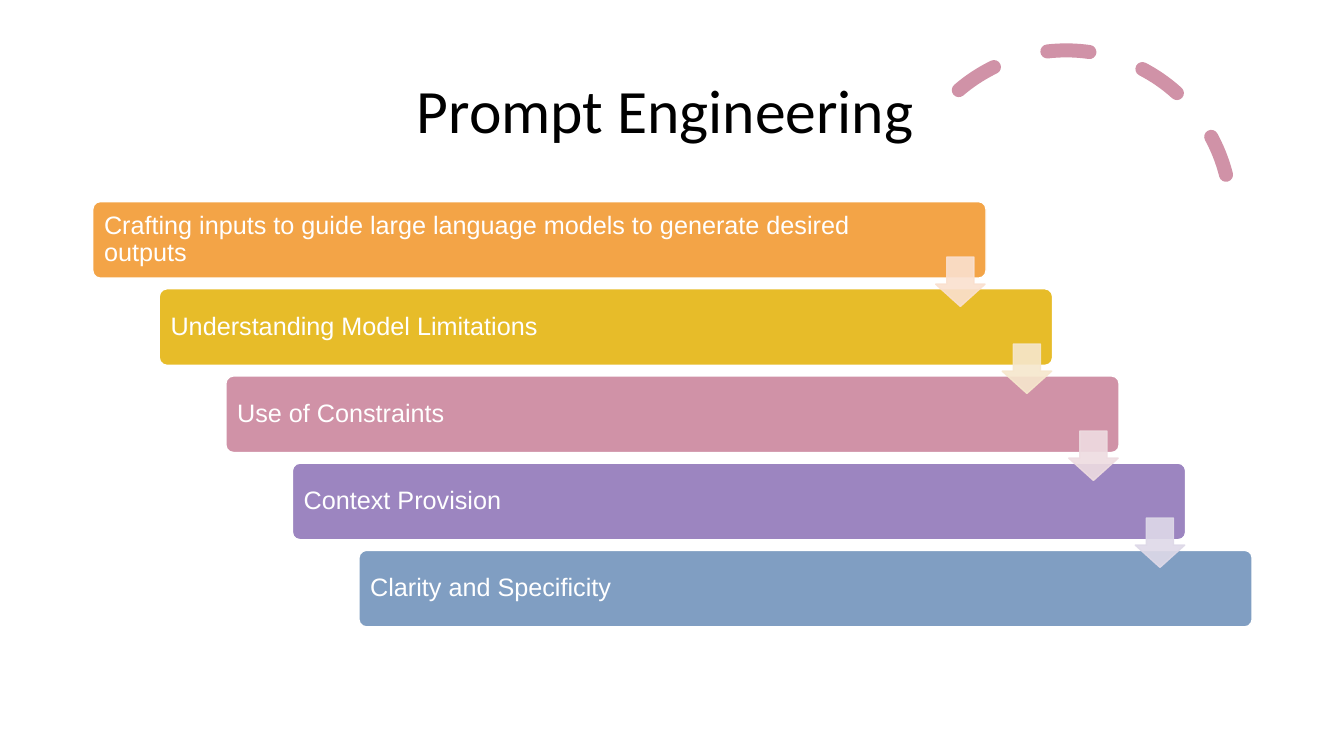
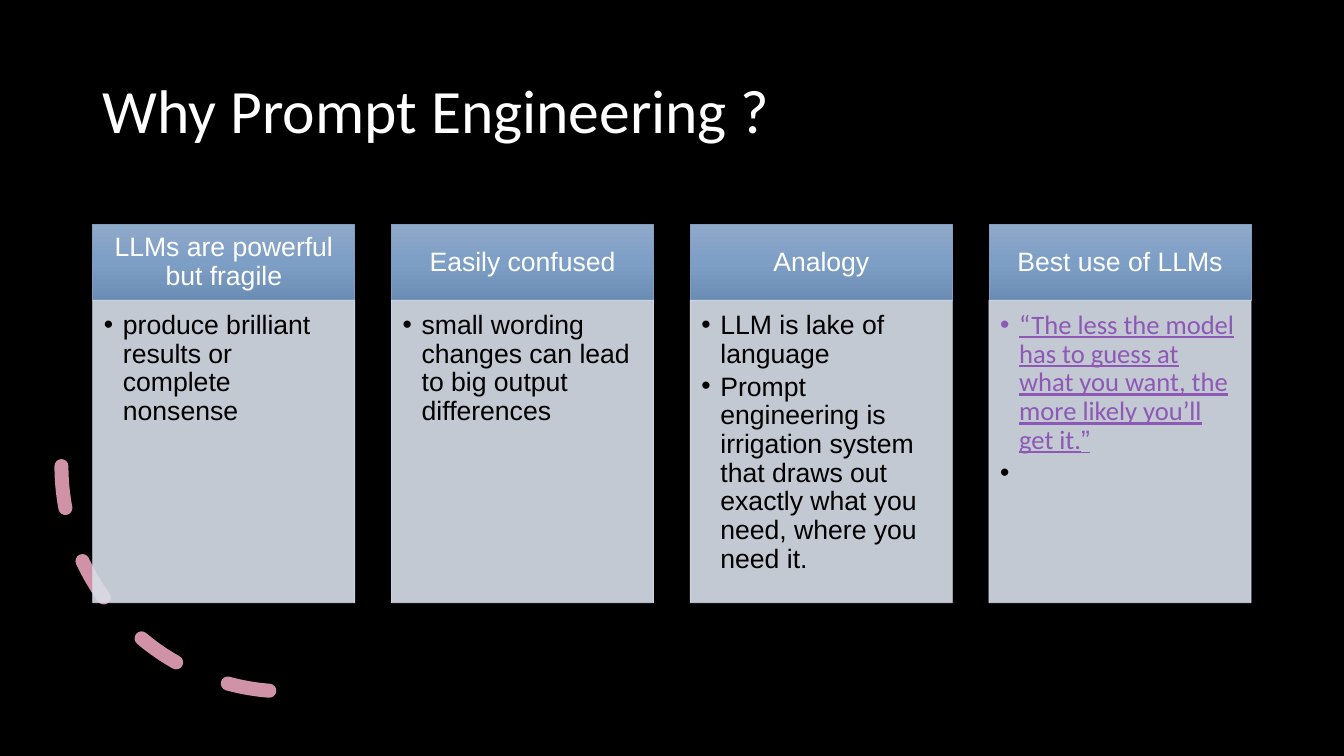
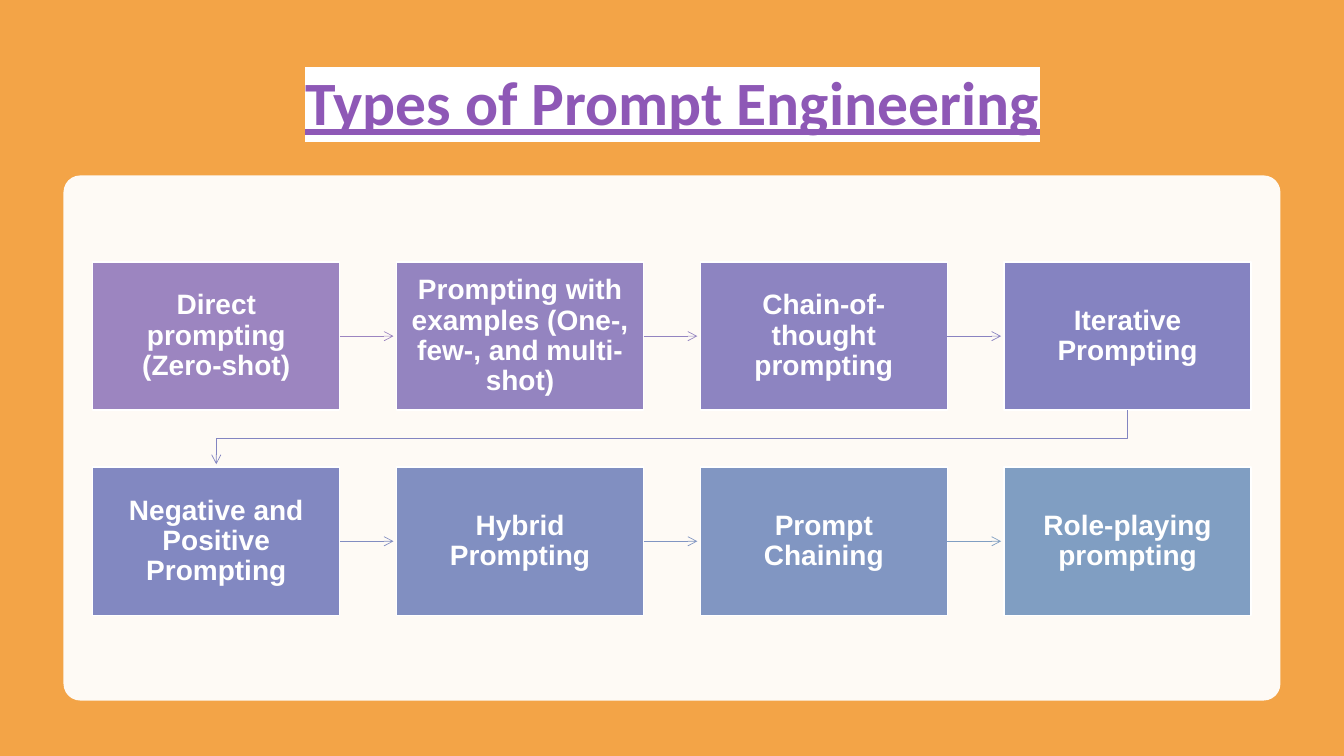
"""Build three slides about prompt engineering."""
from copy import deepcopy
from dataclasses import dataclass
from typing import NamedTuple, Optional

from lxml import etree
from pptx import Presentation, util as u
from pptx.dml.color import RGBColor
from pptx.enum import dml, shapes, text
from pptx.oxml.ns import qn


@dataclass(frozen=True)
class Theme:
    """Colours, fonts and type sizes of the deck."""
    white: str = "FFFFFF"
    black: str = "000000"
    orange: str = "F3A447"
    gold: str = "E7BC29"
    pink: str = "D092A7"
    violet: str = "9C85C0"
    blue: str = "809EC2"
    link: str = "8E58B6"
    card: str = "D8DFE9"
    header: tuple = ("8FA9C9", "7D9EC5", "6B8CB3")
    heading_font: str = "Calibri"
    body_font: str = "Arial"
    title_size: int = 44
    step_size: int = 18
    card_size: int = 19
    technique_size: int = 20


THEME = Theme()


class Box(NamedTuple):
    """A rectangle in inches."""
    x: float
    y: float
    w: float
    h: float


class Grid(NamedTuple):
    """Equal cells placed at a fixed pitch, in inches."""
    x: float
    y: float
    dx: float
    dy: float
    w: float
    h: float

    def cell(self, column: int, row: int) -> Box:
        """Return the box of one cell."""
        return Box(self.x + column * self.dx, self.y + row * self.dy, self.w, self.h)


class Run(NamedTuple):
    """A piece of text with one look."""
    words: str
    size: int
    color: str = THEME.white
    font: str = THEME.body_font
    bold: bool = False
    underline: bool = False
    highlight: Optional[str] = None


class Step(NamedTuple):
    """A bar of the staircase and the arrow that leaves it."""
    words: str
    fill: str
    arrow: Optional[str] = None


class Card(NamedTuple):
    """A header with bulleted points, each a list of runs."""
    header: str
    points: list


class Technique(NamedTuple):
    """A prompting technique and the colour of its outgoing arrow."""
    words: str
    fill: str
    arrow: Optional[str] = None


SIZE = (13.33, 7.5)
MARGIN = 0.92
CONTENT_WIDTH = 11.5
STAIRS = Grid(MARGIN, 2, 0.66, 0.865, 8.86, 0.76)
STAIR_ARROWS = Grid(9.28, 2.55, 0.66, 0.863, 0.49, 0.49)
HEADERS = Grid(MARGIN, 2.23, 2.963, 0, 2.6, 0.75)
BODIES = Grid(MARGIN, 2.98, 2.963, 0, 2.6, 3)
FLOW = Grid(MARGIN, 2.6, 3.013, 2.035, 2.45, 1.47)
FLOW_COLUMNS = 4
ARROW_GAP = 0.03

STEPS = [
    Step("Crafting inputs to guide large language models to generate desired outputs",
         THEME.orange, "FAE0CF"),
    Step("Understanding Model Limitations", THEME.gold, "F6E7CD"),
    Step("Use of Constraints", THEME.pink, "EEDCE1"),
    Step("Context Provision", THEME.violet, "DED9E8"),
    Step("Clarity and Specificity", THEME.blue),
]


def point(words: str) -> list:
    """Return the single run of a plain bullet point."""
    return [Run(words, THEME.card_size, THEME.black)]


CARDS = [
    Card("LLMs are powerful but fragile",
         [point("produce brilliant results or complete nonsense")]),
    Card("Easily confused",
         [point("small wording changes can lead to big output differences")]),
    Card("Analogy",
         [point("LLM is lake of language"),
          point("Prompt engineering is irrigation system that draws out exactly "
                "what you need, where you need it.")]),
    Card("Best use of LLMs",
         [[Run("“The less the model has to guess at what you want, the more likely "
               "you’ll get it.", THEME.card_size, THEME.link, THEME.heading_font,
               underline=True),
           Run("”", THEME.card_size, THEME.link, underline=True)],
          point(" ")]),
]

TECHNIQUES = [
    Technique("Direct prompting (Zero-shot)", THEME.violet, THEME.violet),
    Technique("Prompting with examples (One-, few-, and multi-shot)", "9484C0", "9384C0"),
    Technique("Chain-of-thought prompting", "8D84C1", "8A83C1"),
    Technique("Iterative Prompting", "8583C1", "8385C1"),
    Technique("Negative and Positive Prompting", "8288C1", "828DC1"),
    Technique("Hybrid Prompting", "818FC1", "8195C2"),
    Technique("Prompt Chaining", "8196C2", THEME.blue),
    Technique("Role-playing prompting", THEME.blue),
]


def paint(fill, color: str, alpha: int = 100) -> None:
    """Give a fill one colour, with opacity in percent."""
    fill.solid()
    fill.fore_color.rgb = RGBColor.from_string(color)
    if alpha < 100:
        rgb = fill._xPr.find(qn("a:solidFill")).find(qn("a:srgbClr"))
        etree.SubElement(rgb, qn("a:alpha")).set("val", str(alpha * 1000))


def outline(line, color: str, width: float, alpha: int = 100) -> None:
    """Give a line its colour and width in points."""
    paint(line.fill, color, alpha)
    line.width = u.Pt(width)


def add_block(slide, kind, box: Box, fill: Optional[str] = None, alpha: int = 100,
              line: Optional[str] = None, width: float = 1, adjust: tuple = ()):
    """Draw a preset shape without shadow."""
    shape = slide.shapes.add_shape(kind, *(u.Inches(length) for length in box))
    shape.shadow.inherit = False
    for index, value in enumerate(adjust):
        shape.adjustments[index] = value
    if fill:
        paint(shape.fill, fill, alpha)
    else:
        shape.fill.background()
    if line:
        outline(shape.line, line, width, alpha)
    else:
        shape.line.fill.background()
    return shape


def write(shape, paragraphs: list, align=text.PP_ALIGN.LEFT, anchor=text.MSO_ANCHOR.MIDDLE,
          insets: tuple = (0.1, 0.05, 0.1, 0.05), bullets: bool = False) -> None:
    """Fill a shape with paragraphs of runs."""
    frame = shape.text_frame
    frame.word_wrap = True
    frame.vertical_anchor = anchor
    (frame.margin_left, frame.margin_top,
     frame.margin_right, frame.margin_bottom) = map(u.Inches, insets)
    for index, runs in enumerate(paragraphs):
        paragraph = frame.add_paragraph() if index else frame.paragraphs[0]
        paragraph.alignment = align
        paragraph.line_spacing = 0.9
        if bullets:
            paragraph.space_after = u.Pt(3)
            add_bullet(paragraph)
        for run in runs:
            add_run(paragraph, run)


def add_bullet(paragraph) -> None:
    """Give a paragraph a round bullet and a hanging indent."""
    properties = paragraph._p.get_or_add_pPr()
    properties.set("marL", str(u.Inches(0.19)))
    properties.set("indent", str(-u.Inches(0.19)))
    etree.SubElement(properties, qn("a:buFont")).set("typeface", THEME.body_font)
    etree.SubElement(properties, qn("a:buChar")).set("char", "•")


def add_run(paragraph, run: Run) -> None:
    """Append one styled run to a paragraph."""
    piece = paragraph.add_run()
    piece.text = run.words
    font = piece.font
    font.size = u.Pt(run.size)
    font.name = run.font
    font.bold = run.bold
    font.underline = run.underline
    font.color.rgb = RGBColor.from_string(run.color)
    if run.highlight:
        mark = etree.Element(qn("a:highlight"))
        etree.SubElement(mark, qn("a:srgbClr")).set("val", run.highlight)
        piece._r.rPr.find(qn("a:solidFill")).addnext(mark)


def add_slide(deck, background: str):
    """Add a blank slide with a plain background."""
    slide = deck.slides.add_slide(deck.slide_layouts[6])
    paint(slide.background.fill, background)
    return slide


def add_title(slide, words: str, color: str, align=text.PP_ALIGN.CENTER,
              top: float = 0.4, height: float = 1.45, **look) -> None:
    """Write the slide title."""
    box = Box(MARGIN, top, CONTENT_WIDTH, height)
    title = slide.shapes.add_textbox(*(u.Inches(length) for length in box))
    write(title, [[Run(words, THEME.title_size, color, THEME.heading_font, **look)]], align)


def add_dashed_arc(slide, box: Box, rotation: float, flip: bool = False,
                   adjust: tuple = ()) -> None:
    """Draw the decorative dashed arc."""
    arc = add_block(slide, shapes.MSO_SHAPE.ARC, box, line=THEME.pink, width=10, adjust=adjust)
    arc.rotation = rotation
    arc.line.dash_style = dml.MSO_LINE.DASH
    arc.line._get_or_add_ln().set("cap", "rnd")
    if flip:
        arc._element.spPr.find(qn("a:xfrm")).set("flipV", "1")


def shade_header(shape) -> None:
    """Apply the vertical header gradient."""
    shape.fill.gradient()
    shape.fill.gradient_angle = 270
    first = next(shape._element.spPr.iter(qn("a:gs")))
    middle = deepcopy(first)
    middle.set("pos", "50000")
    first.addnext(middle)
    for stop, color in zip(shape.fill.gradient_stops, THEME.header):
        stop.color.rgb = RGBColor.from_string(color)


def point_arrow(line, color: str) -> None:
    """Make a line thin and end it with an open arrowhead."""
    outline(line, color, 0.5)
    etree.SubElement(line._get_or_add_ln(), qn("a:tailEnd")).set("type", "arrow")


def add_side_arrow(slide, source, box: Box, color: str) -> None:
    """Draw an arrow from the right side of a box towards the next column."""
    middle = u.Inches(box.y + box.h / 2)
    arrow = slide.shapes.add_connector(
        shapes.MSO_CONNECTOR.STRAIGHT, u.Inches(box.x + box.w), middle,
        u.Inches(box.x + FLOW.dx - ARROW_GAP), middle)
    arrow.begin_connect(source, 3)
    point_arrow(arrow.line, color)
    etree.SubElement(arrow._element.spPr, qn("a:effectLst"))


def add_return_arrow(slide, start: Box, end: Box, color: str) -> None:
    """Draw the bent arrow from the end of one row to the start of the next."""
    right, left = start.x + start.w / 2, end.x + end.w / 2
    bottom = start.y + start.h
    turn = (bottom + end.y) / 2
    corners = [(right, turn), (left, turn), (left, end.y - ARROW_GAP)]
    builder = slide.shapes.build_freeform(u.Inches(right), u.Inches(bottom))
    builder.add_line_segments([(u.Inches(x), u.Inches(y)) for x, y in corners], close=False)
    arrow = builder.convert_to_shape()
    arrow.shadow.inherit = False
    arrow.fill.background()
    point_arrow(arrow.line, color)


def build_staircase(deck) -> None:
    """Build the slide on what prompt engineering involves."""
    slide = add_slide(deck, THEME.white)
    add_dashed_arc(slide, Box(8.94, 0.5, 3.27, 3.27), 345.8, adjust=(146.13, 0))
    add_title(slide, "Prompt Engineering ", THEME.black)
    for index, step in enumerate(STEPS):
        bar = add_block(slide, shapes.MSO_SHAPE.ROUNDED_RECTANGLE, STAIRS.cell(index, index),
                        step.fill, line=THEME.white, adjust=(0.1,))
        write(bar, [[Run(step.words, THEME.step_size)]], insets=(0.09, 0.09, 0.89, 0.09))
    for index, step in enumerate(STEPS):
        if step.arrow:
            add_block(slide, shapes.MSO_SHAPE.DOWN_ARROW, STAIR_ARROWS.cell(index, index),
                      step.arrow, 90, step.arrow, adjust=(0.55, 0.45))


def build_cards(deck) -> None:
    """Build the slide on why prompt engineering matters."""
    slide = add_slide(deck, THEME.black)
    add_title(slide, "Why Prompt Engineering ?", THEME.white, text.PP_ALIGN.LEFT)
    add_dashed_arc(slide, Box(0.61, 2.39, 4.47, 4.47), 90, flip=True)
    for column, card in enumerate(CARDS):
        header = add_block(slide, shapes.MSO_SHAPE.RECTANGLE, HEADERS.cell(column, 0),
                           line=THEME.blue, width=0.5)
        shade_header(header)
        write(header, [[Run(card.header, THEME.card_size)]], text.PP_ALIGN.CENTER,
              insets=(0.15, 0.08, 0.15, 0.08))
        body = add_block(slide, shapes.MSO_SHAPE.RECTANGLE, BODIES.cell(column, 0),
                         THEME.card, 90, THEME.card, 0.5)
        write(body, card.points, anchor=text.MSO_ANCHOR.TOP,
              insets=(0.11, 0.11, 0.15, 0.17), bullets=True)


def build_flow(deck) -> None:
    """Build the slide on the types of prompt engineering."""
    slide = add_slide(deck, THEME.orange)
    add_title(slide, "Types of Prompt Engineering", THEME.link, top=0.5, height=1.1,
              bold=True, underline=True, highlight=THEME.white)
    add_block(slide, shapes.MSO_SHAPE.ROUNDED_RECTANGLE, Box(0.63, 1.74, 12.07, 5.21),
              THEME.white, 95, adjust=(0.032,))
    for index, technique in enumerate(TECHNIQUES):
        row, column = divmod(index, FLOW_COLUMNS)
        box = FLOW.cell(column, row)
        block = add_block(slide, shapes.MSO_SHAPE.RECTANGLE, box, technique.fill,
                          line=THEME.white)
        write(block, [[Run(technique.words, THEME.technique_size, bold=True)]],
              text.PP_ALIGN.CENTER, insets=(0.12, 0.13, 0.12, 0.13))
        if not technique.arrow:
            continue
        if column < FLOW_COLUMNS - 1:
            add_side_arrow(slide, block, box, technique.arrow)
        else:
            add_return_arrow(slide, box, FLOW.cell(0, row + 1), technique.arrow)


def main() -> None:
    """Build and save the deck."""
    deck = Presentation()
    deck.slide_width, deck.slide_height = map(u.Inches, SIZE)
    build_staircase(deck)
    build_cards(deck)
    build_flow(deck)
    deck.save("out.pptx")


if __name__ == "__main__":
    main()
